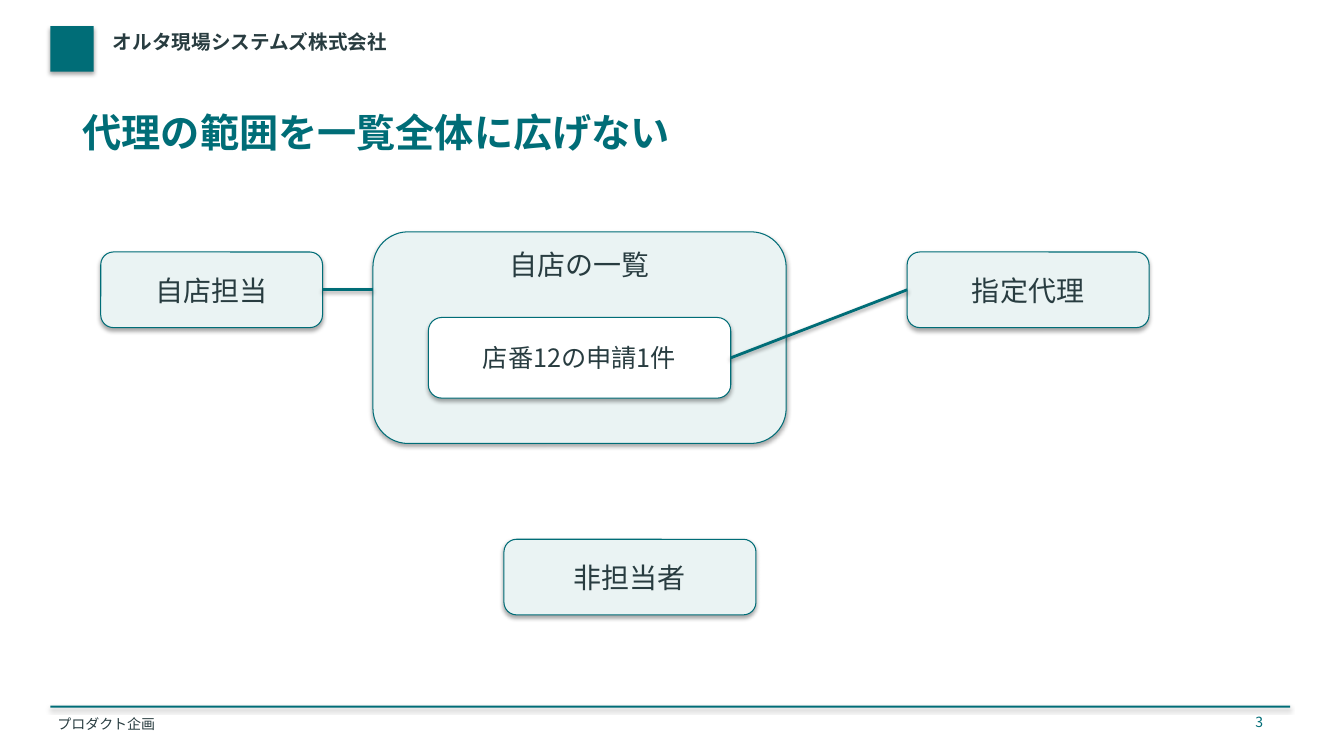
from lxml import etree
from pptx import Presentation
from pptx.dml.color import RGBColor
from pptx.enum.shapes import MSO_CONNECTOR, MSO_SHAPE
from pptx.enum.text import MSO_ANCHOR, MSO_AUTO_SIZE, PP_ALIGN
from pptx.oxml.ns import qn
from pptx.util import Pt

LEFT, CENTER, RIGHT = PP_ALIGN.LEFT, PP_ALIGN.CENTER, PP_ALIGN.RIGHT
TOP, MIDDLE = MSO_ANCHOR.TOP, MSO_ANCHOR.MIDDLE
RECTANGLE, ROUNDED = MSO_SHAPE.RECTANGLE, MSO_SHAPE.ROUNDED_RECTANGLE
STRAIGHT = MSO_CONNECTOR.STRAIGHT
FIT_SHAPE, FIXED = MSO_AUTO_SIZE.SHAPE_TO_FIT_TEXT, MSO_AUTO_SIZE.NONE
LEFT_SITE, RIGHT_SITE = 1, 3
TITLE_ONLY = 5

THEME = {
    "font": "Noto Sans CJK JP",
    "teal": RGBColor(0x00, 0x6D, 0x77),
    "ink": RGBColor(0x28, 0x3C, 0x40),
    "pale": RGBColor(0xEA, 0xF3, 0xF3),
    "white": RGBColor(0xFF, 0xFF, 0xFF),
    "title": 28, "node": 20, "item": 18, "company": 14, "footer": 10,
    "outline": 0.75, "link": 2,
}
TIGHT = (1.44, 1.44, 1.44, 1.44)
NUMBER_INSETS = (8.64, 0, 8.64, 3.6)
NODE_INSETS = (8.64, 3.6, 8.64, 3.6)

TITLE = ("代理の範囲を一覧全体に広げない", (57.6, 75.6, 842.4, 54))
# text, box, size, colour, bold, alignment, insets
LABELS = [
    ("オルタ現場システムズ株式会社", (79.2, 20.16, 720, 28.8),
     "company", "ink", True, LEFT, TIGHT),
    ("プロダクト企画", (39.6, 509.76, 648, 15.84),
     "footer", "ink", False, LEFT, TIGHT),
    ("3", (874.8, 509.76, 36, 15.84),
     "footer", "teal", False, RIGHT, NUMBER_INSETS),
]
EMBLEM = (36, 18.72, 31, 32.4)
FOOTER_RULE = (36, 504, 885.6, 1.44)
# name: text, box, fill, size, anchor
NODES = {
    "owner": ("自店担当", (72, 180, 158.4, 54), "pale", "node", MIDDLE),
    "list": ("自店の一覧", (266.4, 165.6, 295.2, 151.2), "pale", "node", TOP),
    "request": ("店番12の申請1件", (306, 226.8, 216, 57.6), "white", "item", MIDDLE),
    "deputy": ("指定代理", (648, 180, 172.8, 54), "pale", "node", MIDDLE),
    "outsider": ("非担当者", (360, 385.2, 180, 54), "pale", "node", MIDDLE),
}


def points(box):
    return [Pt(value) for value in box]


def write(shape, text, size, color, bold=False, align=LEFT, anchor=TOP,
          insets=TIGHT, fit=FIT_SHAPE):
    frame = shape.text_frame
    sides = ("margin_left", "margin_top", "margin_right", "margin_bottom")
    frame_format = dict(zip(sides, points(insets)), word_wrap=True,
                        auto_size=fit, vertical_anchor=anchor)
    for name, value in frame_format.items():
        setattr(frame, name, value)
    paragraph = frame.paragraphs[0]
    paragraph.alignment = align
    run = paragraph.add_run()
    run.text = text
    run.font.color.rgb = THEME[color]
    font_format = {"name": THEME["font"], "size": Pt(THEME[size]), "bold": bold}
    for name, value in font_format.items():
        setattr(run.font, name, value)
    east_asian = etree.SubElement(run._r.get_or_add_rPr(), qn("a:ea"))
    east_asian.set("typeface", THEME["font"])


def add_block(slide, kind, box, fill):
    """Add a filled shape that keeps the soft shadow of the theme."""
    shape = slide.shapes.add_shape(kind, *points(box))
    shape.fill.solid()
    shape.fill.fore_color.rgb = THEME[fill]
    return shape


def add_node(slide, text, box, fill, size, anchor):
    node = add_block(slide, ROUNDED, box, fill)
    node.line.color.rgb = THEME["teal"]
    node.line.width = Pt(THEME["outline"])
    write(node, text, size, "ink", align=CENTER, anchor=anchor,
          insets=NODE_INSETS, fit=FIXED)
    return node


def add_link(slide, start, start_site, end_x, end_y):
    link = slide.shapes.add_connector(STRAIGHT, 0, 0, end_x, end_y)
    link.begin_connect(start, start_site)
    link.line.color.rgb = THEME["teal"]
    link.line.width = Pt(THEME["link"])
    return link


def main():
    presentation = Presentation()
    presentation.slide_width, presentation.slide_height = Pt(960), Pt(540)
    slide = presentation.slides.add_slide(presentation.slide_layouts[TITLE_ONLY])

    for box in (EMBLEM, FOOTER_RULE):
        add_block(slide, RECTANGLE, box, "teal").line.fill.background()

    text, box = TITLE
    title = slide.shapes.title
    title.left, title.top, title.width, title.height = points(box)
    write(title, text, "title", "teal", bold=True)

    for text, box, size, color, bold, align, insets in LABELS:
        label = slide.shapes.add_textbox(*points(box))
        write(label, text, size, color, bold, align, insets=insets)

    nodes = {name: add_node(slide, *node) for name, node in NODES.items()}

    owner, request = nodes["owner"], nodes["request"]
    add_link(slide, owner, RIGHT_SITE,
             nodes["list"].left, owner.top + owner.height // 2)
    deputy_link = add_link(slide, nodes["deputy"], LEFT_SITE,
                           request.left + request.width,
                           request.top + request.height // 2)
    deputy_link.end_connect(request, RIGHT_SITE)

    presentation.save("out.pptx")


if __name__ == "__main__":
    main()
